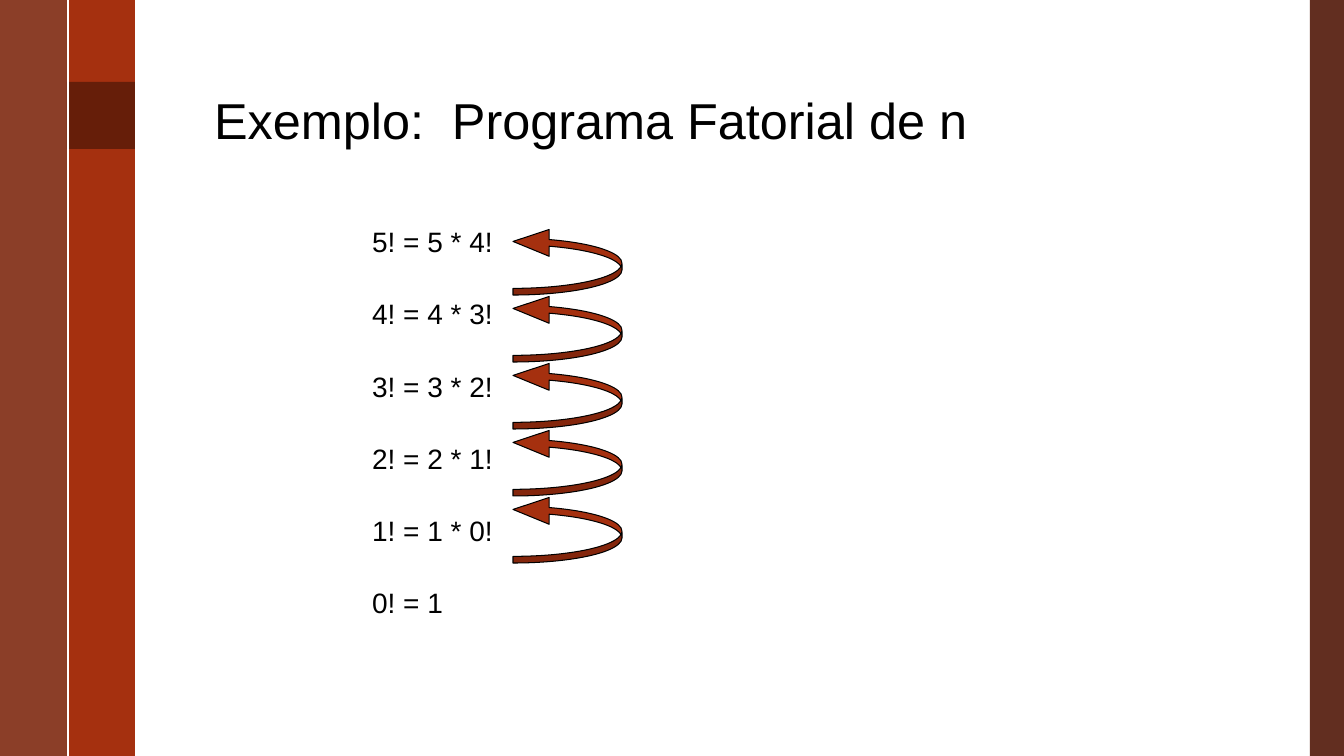
import pptx
import pptx.util
import pptx.dml.color
import pptx.enum.shapes
import pptx.enum.text
import pptx.oxml.ns
import lxml.etree

RGBColor = pptx.dml.color.RGBColor
MSO_SHAPE = pptx.enum.shapes.MSO_SHAPE

RUST = RGBColor(0xA5, 0x30, 0x0F)
BROWN = RGBColor(0x7C, 0x24, 0x0B)
DARK_BROWN = RGBColor(0x52, 0x18, 0x08)
BLACK = RGBColor(0, 0, 0)
WHITE = RGBColor(0xFF, 0xFF, 0xFF)

TITLE = "Exemplo:  Programa Fatorial de n"
FACTORIALS = [f"{n}! = {n} * {n - 1}!" for n in range(5, 0, -1)] + ["0! = 1"]
BARS = [
    ((1310, 0, 34, 756), DARK_BROWN, 90),
    ((67, 0, 68, 756), RUST, 100),
    ((0, 0, 67, 756), BROWN, 88),
    ((67, 82, 68, 67), DARK_BROWN, 75),
]
TITLE_BOX = (204, 69, 905, 86)
BODY_BOX = (362, 203, 178, 416)
ARROW_LEFT, ARROW_TOP, ARROW_WIDTH, ARROW_HEIGHT = 534, 207, 67, 109
ARROW_PITCH = 67
ARROW_ADJUSTMENTS = (0.1, 0.4, 0.54)


def pixels(length):
    return pptx.util.Inches(length / 100.8)


def add_filled_shape(kind, box, color):
    shape = slide.shapes.add_shape(kind, *map(pixels, box))
    shape.shadow.inherit = False
    shape.fill.solid()
    shape.fill.fore_color.rgb = color
    shape.line.fill.background()
    return shape


def set_opacity(shape, percent):
    color = shape.fill._xPr.find(".//" + pptx.oxml.ns.qn("a:srgbClr"))
    alpha = lxml.etree.SubElement(color, pptx.oxml.ns.qn("a:alpha"))
    alpha.set("val", str(percent * 1000))


def fill_placeholder(placeholder, box, lines, size, anchor, line_spacing, space_before):
    placeholder.left, placeholder.top, placeholder.width, placeholder.height = map(pixels, box)
    frame = placeholder.text_frame
    frame.text = "\n".join(lines)
    frame.word_wrap = True
    frame.auto_size = pptx.enum.text.MSO_AUTO_SIZE.NONE
    frame.vertical_anchor = anchor
    for paragraph in frame.paragraphs:
        paragraph.alignment = pptx.enum.text.PP_ALIGN.LEFT
        paragraph.line_spacing = line_spacing
        paragraph.space_before = pptx.util.Pt(space_before)
        properties = paragraph._p.get_or_add_pPr()
        properties.set("marL", "0")
        properties.set("indent", "0")
        lxml.etree.SubElement(properties, pptx.oxml.ns.qn("a:buNone"))
        font = paragraph.runs[0].font
        font.name = "Arial"
        font.size = pptx.util.Pt(size)
        font.color.rgb = BLACK


presentation = pptx.Presentation()
presentation.slide_width = pixels(1344)
presentation.slide_height = pixels(756)
slide = presentation.slides.add_slide(presentation.slide_layouts[1])

for box, color, opacity in BARS:
    bar = add_filled_shape(MSO_SHAPE.RECTANGLE, box, color)
    if opacity < 100:
        set_opacity(bar, opacity)

divider = slide.shapes.add_connector(
    pptx.enum.shapes.MSO_CONNECTOR.STRAIGHT, pixels(68), 0, pixels(68), pixels(756))
divider.line.color.rgb = WHITE
divider.line.width = pptx.util.Pt(1.5)
lxml.etree.SubElement(divider._element.spPr, pptx.oxml.ns.qn("a:effectLst"))

ANCHOR = pptx.enum.text.MSO_ANCHOR
fill_placeholder(slide.shapes.title, TITLE_BOX, [TITLE], 36, ANCHOR.BOTTOM, 0.9, 0)
fill_placeholder(slide.placeholders[1], BODY_BOX, FACTORIALS, 20, ANCHOR.TOP, 1.5, 15.5)

for row in reversed(range(len(FACTORIALS) - 1)):
    box = (ARROW_LEFT, ARROW_TOP + row * ARROW_PITCH, ARROW_WIDTH, ARROW_HEIGHT)
    arrow = add_filled_shape(MSO_SHAPE.CURVED_UP_ARROW, box, RUST)
    arrow.rotation = 270
    for index, adjustment in enumerate(ARROW_ADJUSTMENTS):
        arrow.adjustments[index] = adjustment
    arrow.line.color.rgb = BLACK
    arrow.line.width = pptx.util.Pt(0.75)

presentation.save("out.pptx")
